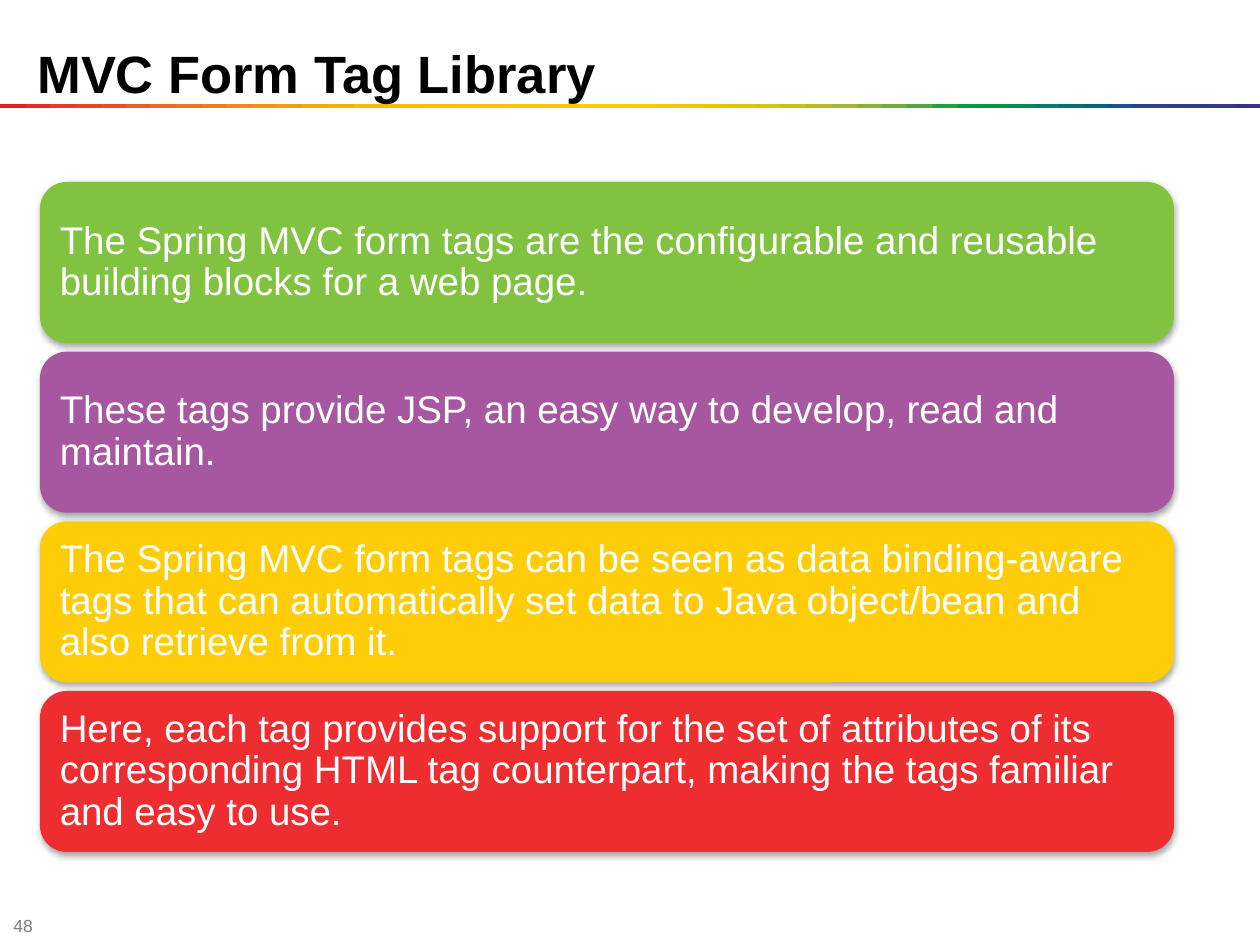
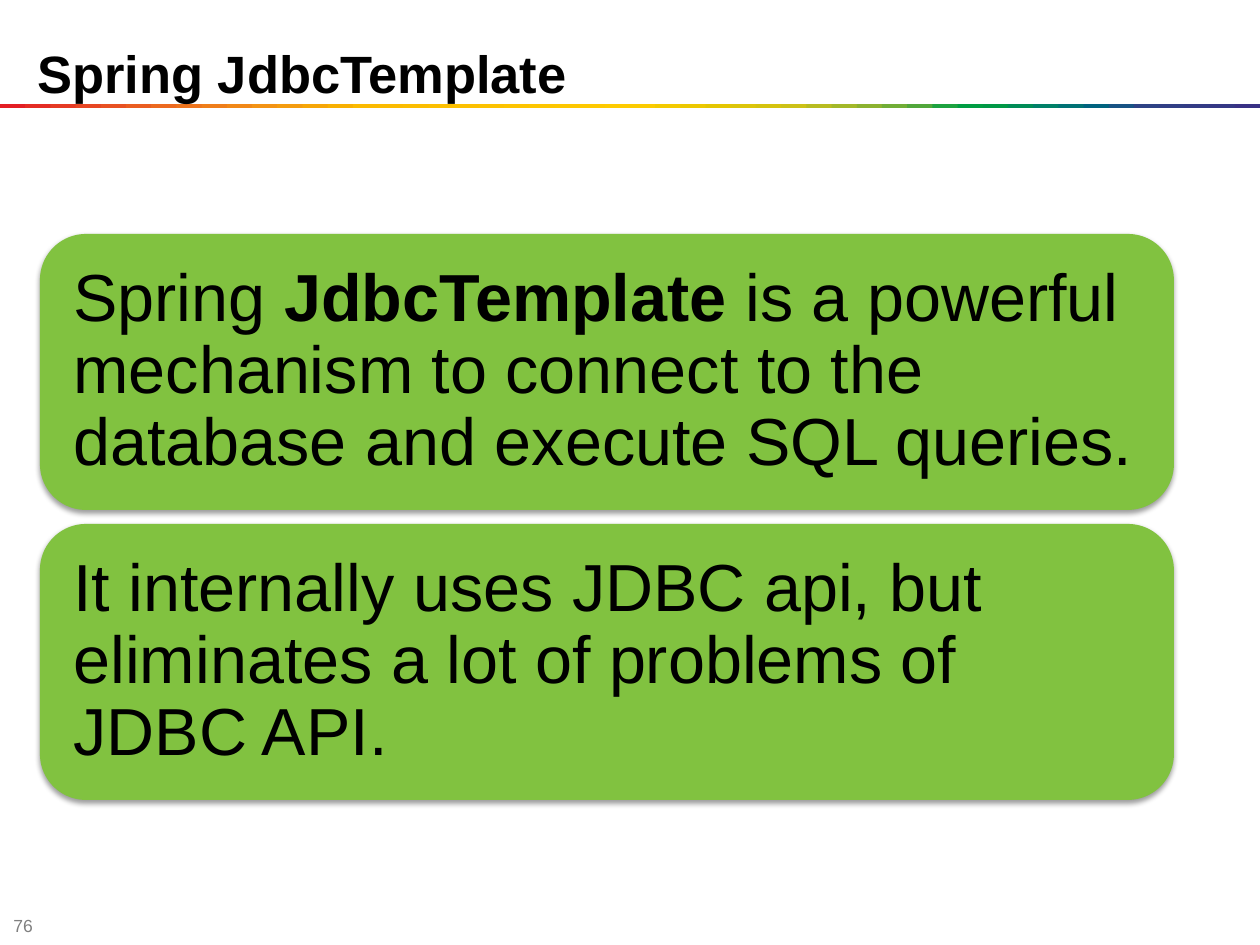
from lxml.etree import SubElement
from pptx import Presentation
from pptx.dml.color import RGBColor
from pptx.enum.shapes import MSO_SHAPE
from pptx.enum.text import MSO_ANCHOR, PP_ALIGN
from pptx.oxml.ns import qn
from pptx.util import Pt

PX = 914400 / 126
WIDE, HIGH = 1260, 945
FONT = "Arial"
BLACK, WHITE, GREY = "000000", "FFFFFF", "808080"
GREEN, PURPLE, YELLOW, RED = "81C240", "A757A0", "FECD07", "EE2D30"
BAND = """
E31E24 E42C24 E53A24 E74623 E85122 EA5D21 EC691F EE741D EF7E1A F18817
F39314 F49C0F F6A607 F8B002 FBBA00 FBBB00 FBBD00 FCBF00 FCC000 FCC200
FDC400 FDC600 FDC700 FEC900 FECB00 FBCB00 F3CA00 ECC800 E4C602 DCC50A
D5C30E CCC117 B8BC21 A3B829 8CB230 71AD36 51A73B 1DA240 009D43 009846
008C57 008068 007275 00637F 185384 2E4285 313E85 333B85 353885 393185
""".split()

TAGS = [
    (GREEN, ["The Spring MVC form tags are the configurable and reusable "
             "building blocks for a web page."]),
    (PURPLE, ["These tags provide JSP, an easy way to develop, read and maintain."]),
    (YELLOW, ["The Spring MVC form tags can be seen as data binding-aware tags that "
              "can automatically set data to Java object/bean and also retrieve from it."]),
    (RED, ["Here, each tag provides support for the set of attributes of its "
           "corresponding HTML tag counterpart, making the tags familiar and easy to use."]),
]
JDBC = [
    (GREEN, ["Spring ", "JdbcTemplate", " is a powerful mechanism to connect to the "
             "database and execute SQL queries."]),
    (GREEN, ["It internally uses JDBC api, but eliminates a lot of problems of JDBC API."]),
]


def px(*sizes):
    return [round(size * PX) for size in sizes]


def color(code):
    return RGBColor.from_string(code)


def style(run, size, code, bold=False):
    run.font.name = FONT
    run.font.size = Pt(size)
    run.font.bold = bold
    run.font.color.rgb = color(code)


def paint(shape, code):
    shape.shadow.inherit = False
    shape.fill.solid()
    shape.fill.fore_color.rgb = color(code)
    shape.line.fill.background()


def shade(shape, alpha, dist):
    effects = shape._element.spPr.find(qn("a:effectLst"))
    outer = SubElement(effects, qn("a:outerShdw"), blurRad=str(Pt(3.1)),
                       dist=str(Pt(dist)), dir="5400000", rotWithShape="0")
    tint = SubElement(outer, qn("a:srgbClr"), val=BLACK)
    SubElement(tint, qn("a:alpha"), val=str(alpha * 1000))


def label(slide, text, box, size, code, anchor, bold=False):
    frame = slide.shapes.add_textbox(*px(*box)).text_frame
    frame.word_wrap = True
    frame.vertical_anchor = anchor
    frame.text = text
    style(frame.paragraphs[0].runs[0], size, code, bold)


def band(slide):
    group = slide.shapes.add_group_shape()
    step = WIDE / len(BAND)
    for i, code in enumerate(BAND):
        left = i * step
        width = min(2 * step, WIDE - left)
        strip = group.shapes.add_shape(MSO_SHAPE.RECTANGLE, *px(left, 104, width, 4))
        paint(strip, code)


def card(slide, top, high, fill, parts, look):
    shape = slide.shapes.add_shape(MSO_SHAPE.ROUNDED_RECTANGLE, *px(40, top, 1134, high))
    paint(shape, fill)
    shade(shape, look["alpha"], look["dist"])
    frame = shape.text_frame
    frame.word_wrap = True
    frame.vertical_anchor = MSO_ANCHOR.MIDDLE
    pad, = px(look["pad"])
    frame.margin_left = frame.margin_right = pad
    frame.margin_top = frame.margin_bottom = pad
    para = frame.paragraphs[0]
    para.alignment = PP_ALIGN.LEFT
    para.line_spacing = 0.9
    for i, part in enumerate(parts):
        run = para.add_run()
        run.text = part
        style(run, look["size"], look["ink"], bold=i % 2 == 1)


def stack(slide, cards, top, end, high, **look):
    step = (end - top - high) / (len(cards) - 1)
    for i, (fill, parts) in enumerate(cards):
        card(slide, top + i * step, high, fill, parts, look)


def page(deck, title, number):
    slide = deck.slides.add_slide(deck.slide_layouts[6])
    label(slide, number, (1, 916, 49, 20), 10, GREY, MSO_ANCHOR.MIDDLE)
    band(slide)
    label(slide, title, (25, 33, 1134, 77), 30, BLACK, MSO_ANCHOR.BOTTOM, True)
    return slide


def main():
    deck = Presentation()
    deck.slide_width, deck.slide_height = px(WIDE, HIGH)
    stack(page(deck, "MVC Form Tag Library", "48"), TAGS, 182, 852, 161,
          size=22, ink=WHITE, pad=12, alpha=35, dist=1.8)
    stack(page(deck, "Spring JdbcTemplate", "76"), JDBC, 234, 800, 276,
          size=38, ink=BLACK, pad=20, alpha=38, dist=1.6)
    deck.save("out.pptx")


if __name__ == "__main__":
    main()
